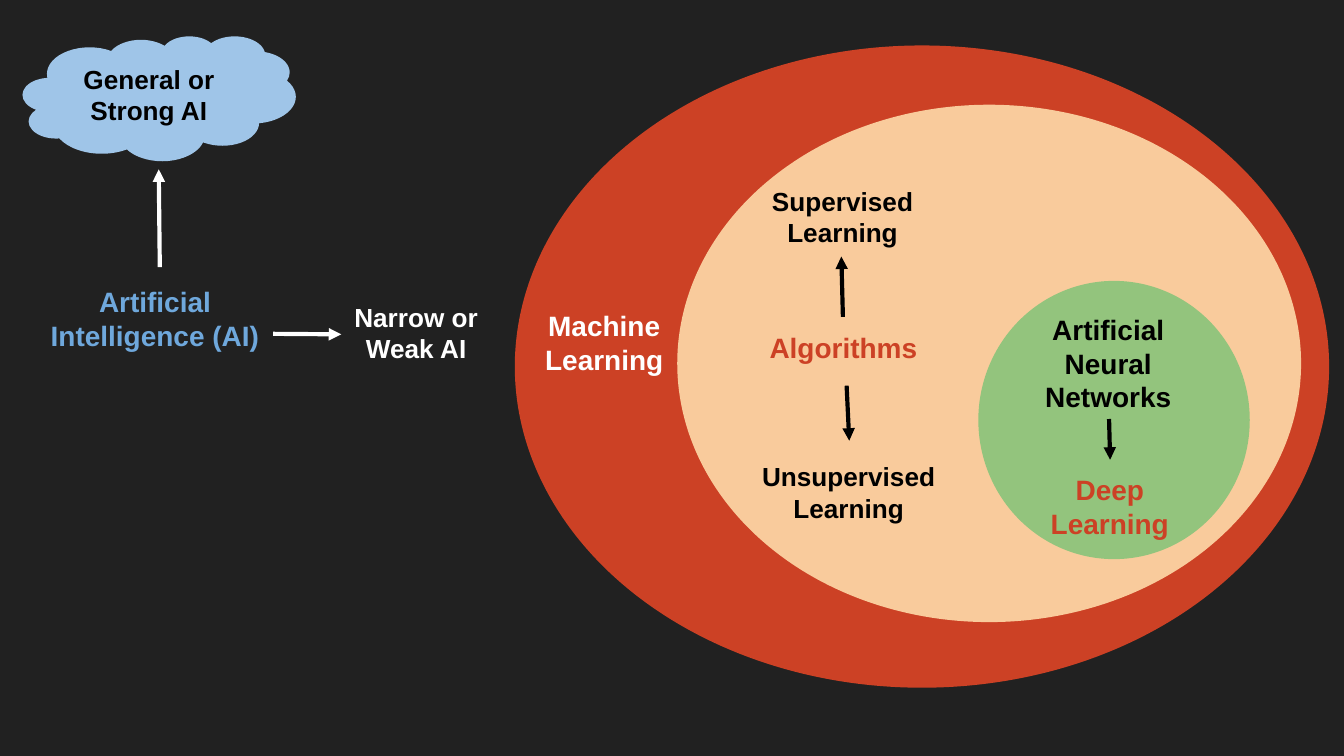
from dataclasses import dataclass

from lxml import etree
from pptx import Presentation
from pptx.dml.color import RGBColor
from pptx.enum.shapes import MSO_CONNECTOR, MSO_SHAPE
from pptx.enum.text import MSO_ANCHOR, MSO_AUTO_SIZE, PP_ALIGN
from pptx.oxml.ns import qn
from pptx.util import Cm, Pt

OVAL = MSO_SHAPE.OVAL
CLOUD = MSO_SHAPE.CLOUD
LINE = MSO_CONNECTOR.STRAIGHT
TOP = MSO_ANCHOR.TOP
MIDDLE = MSO_ANCHOR.MIDDLE
GROW = MSO_AUTO_SIZE.SHAPE_TO_FIT_TEXT
CENTER = PP_ALIGN.CENTER


@dataclass(frozen=True)
class Theme:
    """Hold the colours, font and type sizes of the slide."""

    back: str = "212121"
    red: str = "CC4125"
    peach: str = "F9CB9C"
    green: str = "93C47D"
    sky: str = "9FC5E8"
    blue: str = "6FA8DC"
    white: str = "FFFFFF"
    black: str = "000000"
    font: str = "Arial"
    large: int = 15
    small: int = 14
    stroke: float = 2.25


THEME = Theme()


def paint(fill, color):
    """Give a fill one solid colour."""
    fill.solid()
    fill.fore_color.rgb = RGBColor.from_string(color)


def add_blob(slide, kind, box, color):
    """Add a plain filled shape without an outline."""
    shape = slide.shapes.add_shape(kind, *map(Cm, box))
    shape.shadow.inherit = False
    paint(shape.fill, color)
    shape.line.fill.background()


def add_label(slide, text, box, color, size, anchor=TOP):
    """Add a centred bold label that wraps in its box."""
    frame = slide.shapes.add_textbox(*map(Cm, box)).text_frame
    frame.word_wrap = True
    frame.auto_size = GROW
    frame.vertical_anchor = anchor
    frame.margin_left = frame.margin_right = Cm(0.25)
    frame.margin_top = frame.margin_bottom = Cm(0.25)
    para = frame.paragraphs[0]
    para.alignment = CENTER
    run = para.add_run()
    run.text = text
    run.font.name = THEME.font
    run.font.size = Pt(size)
    run.font.bold = True
    run.font.color.rgb = RGBColor.from_string(color)


def add_arrow(slide, ends, color):
    """Add a straight line with a triangle at its end."""
    arrow = slide.shapes.add_connector(LINE, *map(Cm, ends))
    arrow.line.width = Pt(THEME.stroke)
    paint(arrow.line.fill, color)
    line = arrow.line._get_or_add_ln()
    etree.SubElement(line, qn("a:tailEnd"), type="triangle")
    etree.SubElement(arrow._element.spPr, qn("a:effectLst"))


def main():
    """Build the map of AI fields and save it."""
    deck = Presentation()
    deck.slide_width, deck.slide_height = Cm(25.4), Cm(14.29)
    slide = deck.slides.add_slide(deck.slide_layouts[6])
    paint(slide.background.fill, THEME.back)

    blobs = [
        (OVAL, (9.73, 0.86, 15.39, 12.14), THEME.red),
        (OVAL, (12.8, 1.98, 11.79, 9.78), THEME.peach),
        (OVAL, (18.49, 5.31, 5.13, 5.26), THEME.green),
        (CLOUD, (0.43, 0.68, 5.16, 2.36), THEME.sky),
    ]
    for kind, box, color in blobs:
        add_blob(slide, kind, box, color)

    large, small = THEME.large, THEME.small
    labels = [
        ("Artificial Intelligence (AI)", (0.63, 5.13, 4.6, 1.7), THEME.blue, large),
        ("Narrow or Weak AI", (5.81, 5.44, 4.11, 1.63), THEME.white, small),
        ("Machine Learning", (9.12, 5.59, 4.6, 1.7), THEME.white, large),
        ("Supervised Learning", (13.87, 3.25, 4.11, 1.63), THEME.black, small),
        ("Unsupervised Learning", (13.87, 8.46, 4.34, 1.63), THEME.black, small),
        ("Algorithms", (13.87, 5.99, 4.14, 1.09), THEME.red, large),
        ("Artificial Neural Networks", (19.08, 5.66, 3.73, 2.29), THEME.black, large),
        ("Deep Learning", (19.25, 8.69, 3.45, 1.7), THEME.red, large),
        ("General or Strong AI", (1.14, 0.97, 3.35, 1.63), THEME.black, small, MIDDLE),
    ]
    for label in labels:
        add_label(slide, *label)

    arrows = [
        ((20.96, 7.92, 20.98, 8.69), THEME.black),
        ((15.93, 5.99, 15.9, 4.85), THEME.black),
        ((16, 7.29, 16.05, 8.33), THEME.black),
        ((3.02, 5.05, 3, 3.2), THEME.white),
        ((5.16, 6.31, 6.45, 6.32), THEME.white),
    ]
    for ends, color in arrows:
        add_arrow(slide, ends, color)

    deck.save("out.pptx")


if __name__ == "__main__":
    main()
